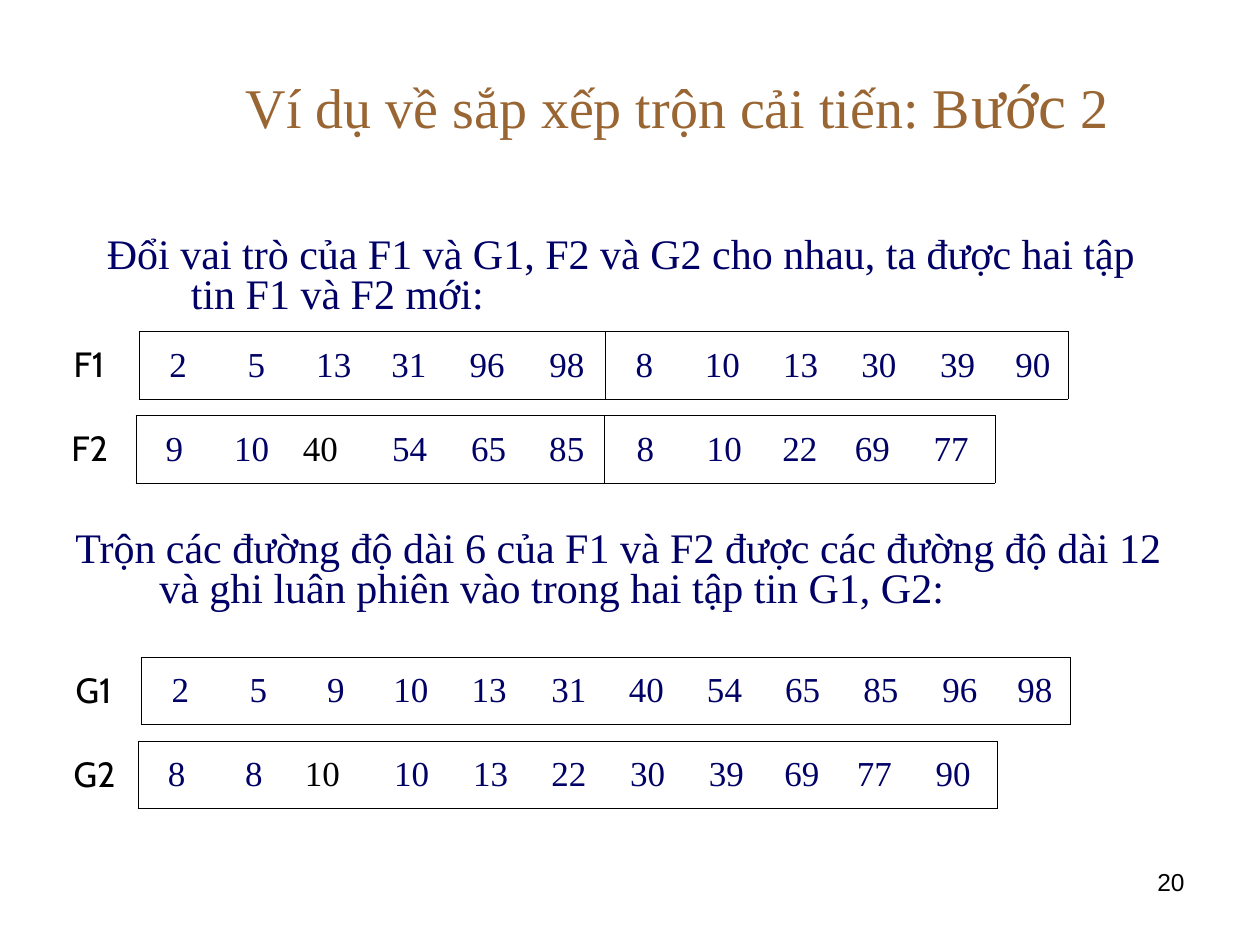
from dataclasses import dataclass

from lxml import etree
from pptx import Presentation
from pptx.dml.color import RGBColor
from pptx.enum.text import MSO_ANCHOR, MSO_AUTO_SIZE, PP_ALIGN
from pptx.oxml.ns import qn
from pptx.util import Inches, Pt

LEFT, MID, RIGHT, JUST = PP_ALIGN.LEFT, PP_ALIGN.CENTER, PP_ALIGN.RIGHT, PP_ALIGN.JUSTIFY
TOP, CENTRE = MSO_ANCHOR.TOP, MSO_ANCHOR.MIDDLE
FIXED = MSO_AUTO_SIZE.NONE
WIDE, HIGH = Inches(10), Inches(7.5)
COLS, ROWS = 120, 90


@dataclass(frozen=True)
class Theme:
    serif: str = "Times New Roman"
    label: str = "Cabin"
    sans: str = "Arial"
    brown: str = "996633"
    navy: str = "000066"
    black: str = "000000"
    head: int = 32
    accent: int = 36
    body: int = 24
    cell: int = 20
    page: int = 14
    rule: float = 0.45


THEME = Theme()
LONG = [7.45, 7.45, 7.45, 7.3, 7, 7.9, 7.3, 7.45, 7.45, 7.45, 7.45, 7.6, 6.7]
SHORT = [7.35, 7.35, 7.35, 7.7, 7.35, 7.7, 7.2, 7.8, 7.2, 7.2, 6.6, 8.4]
TALL = 6.4
STEP = 8


def col(n):
    return round(WIDE * n / COLS)


def row(n):
    return round(HIGH * n / ROWS)


def area(x, y, w, h):
    return col(x), row(y), col(w), row(h)


def write(frame, *parts, size=THEME.body, font=THEME.serif, color=THEME.navy,
          align=LEFT, anchor=TOP, hang=0, space=None):
    frame.word_wrap = True
    frame.vertical_anchor = anchor
    para = frame.paragraphs[0]
    para.alignment = align
    if space:
        para.line_spacing = space
    if hang:
        props = para._p.get_or_add_pPr()
        props.set("marL", str(col(hang)))
        props.set("indent", str(-col(hang)))
    for part in parts:
        text, points = part if isinstance(part, tuple) else (part, size)
        run = para.add_run()
        run.text = text
        run.font.name = font
        run.font.size = Pt(points)
        run.font.bold = False
        run.font.color.rgb = RGBColor.from_string(color)


def title(slide, *parts):
    shape = slide.shapes.title
    shape.left, shape.top, shape.width, shape.height = area(15, 3.6, 99, 12.4)
    write(shape.text_frame, *parts, size=THEME.head, color=THEME.brown,
          align=MID, anchor=CENTRE)
    shape.text_frame.auto_size = FIXED


def note(slide, place, text, **look):
    box = slide.shapes.add_textbox(*area(*place))
    write(box.text_frame, text, **look)


def edge(cell, sides):
    props = cell._tc.get_or_add_tcPr()
    for side in "LRTB":
        line = etree.SubElement(props, qn(f"a:ln{side}"), w=str(Pt(THEME.rule)))
        if side in sides:
            fill = etree.SubElement(line, qn("a:solidFill"))
            etree.SubElement(fill, qn("a:srgbClr"), val=THEME.black)
        else:
            etree.SubElement(line, qn("a:noFill"))
    cell.fill.background()


def strip(slide, x, y, widths, name, *runs, plain=None):
    table = slide.shapes.add_table(
        1, len(widths), *area(x, y, sum(widths), TALL)).table
    table.first_row = table.horz_banding = False
    table.rows[0].height = row(TALL)
    for column, width in zip(table.columns, widths):
        column.width = col(width)
    tag = table.cell(0, 0)
    edge(tag, "R")
    write(tag.text_frame, name, size=THEME.cell, font=THEME.label,
          color=THEME.black, align=JUST)
    tag.vertical_anchor = CENTRE
    spot = 1
    for run in runs:
        for i, value in enumerate(run):
            cell = table.cell(0, spot)
            start = "L" if i == 0 else ""
            end = "R" if i == len(run) - 1 else ""
            edge(cell, "TB" + start + end)
            odd = spot == plain
            write(cell.text_frame, str(value), size=THEME.cell,
                  color=THEME.black if odd else THEME.navy,
                  align=LEFT if odd else MID)
            cell.vertical_anchor = CENTRE
            spot += 1


def pair(slide, x, y, first, second):
    strip(slide, x, y, LONG, *first)
    strip(slide, x - 0.2, y + STEP, SHORT, *second, plain=3)


def main():
    deck = Presentation()
    deck.slide_width, deck.slide_height = WIDE, HIGH
    slide = deck.slides.add_slide(deck.slide_layouts[5])
    title(slide, "Ví dụ về sắp xếp trộn cải tiến: B", ("ước", THEME.accent), " 2")
    note(slide, (9, 22, 105, 10.8),
         "Ðổi vai trò của F1 và G1, F2 và G2 cho nhau, ta được hai tập tin F1 và F2 mới:",
         hang=8, space=0.8)
    note(slide, (6, 50, 108, 11),
         "Trộn các đường độ dài 6 của F1 và F2 được các đường độ dài 12 "
         "và ghi luân phiên vào trong hai tập tin G1, G2:",
         hang=8, space=0.8)
    pair(slide, 6, 62.6,
         ("G1", [2, 5, 9, 10, 13, 31, 40, 54, 65, 85, 96, 98]),
         ("G2", [8, 8, 10, 10, 13, 22, 30, 39, 69, 77, 90]))
    pair(slide, 5.8, 31.6,
         ("F1", [2, 5, 13, 31, 96, 98], [8, 10, 13, 30, 39, 90]),
         ("F2", [9, 10, 40, 54, 65, 85], [8, 10, 22, 69, 77]))
    note(slide, (86, 82, 28, 6.2), "20", size=THEME.page, font=THEME.sans,
         color=THEME.black, align=RIGHT)
    deck.save("out.pptx")


if __name__ == "__main__":
    main()
